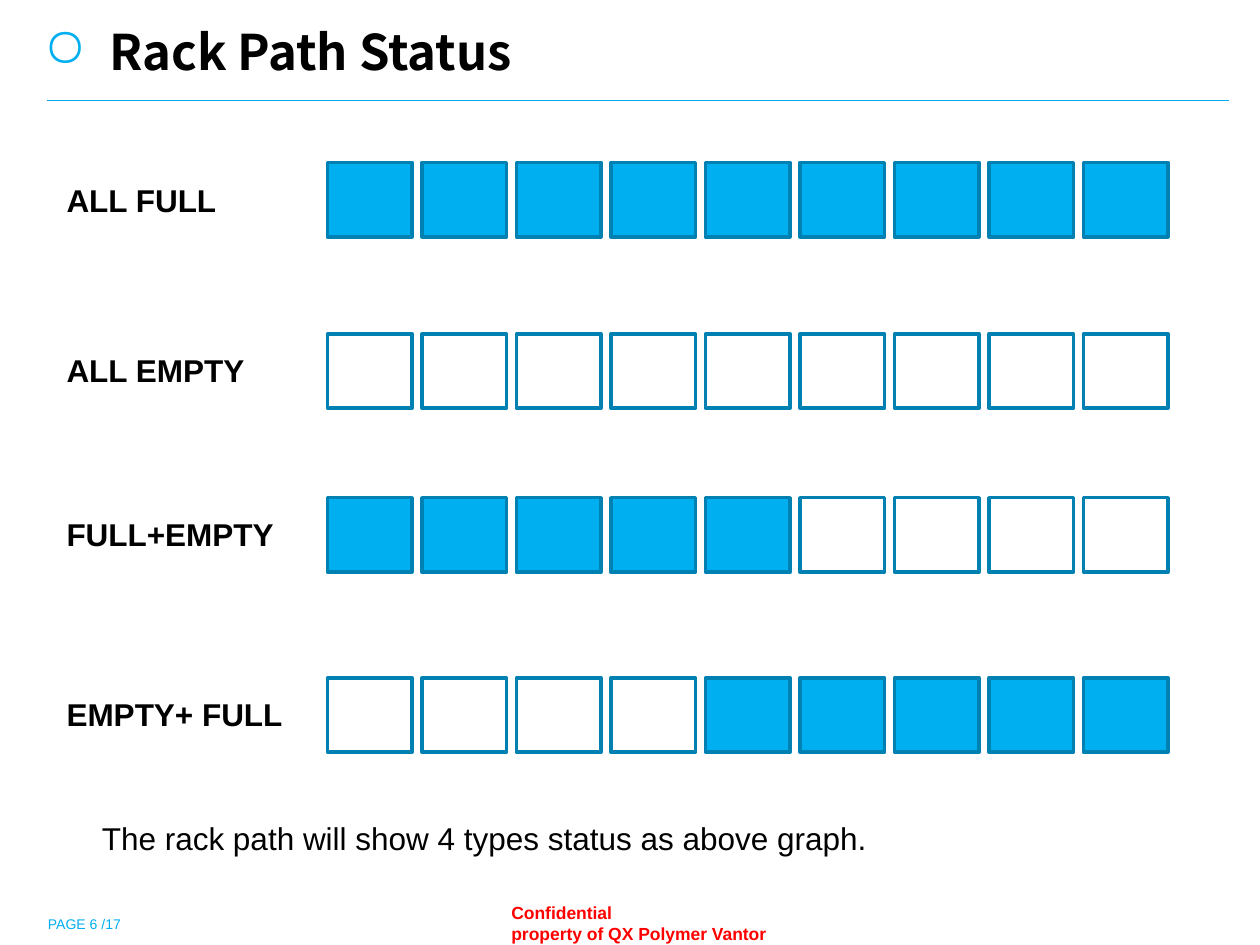
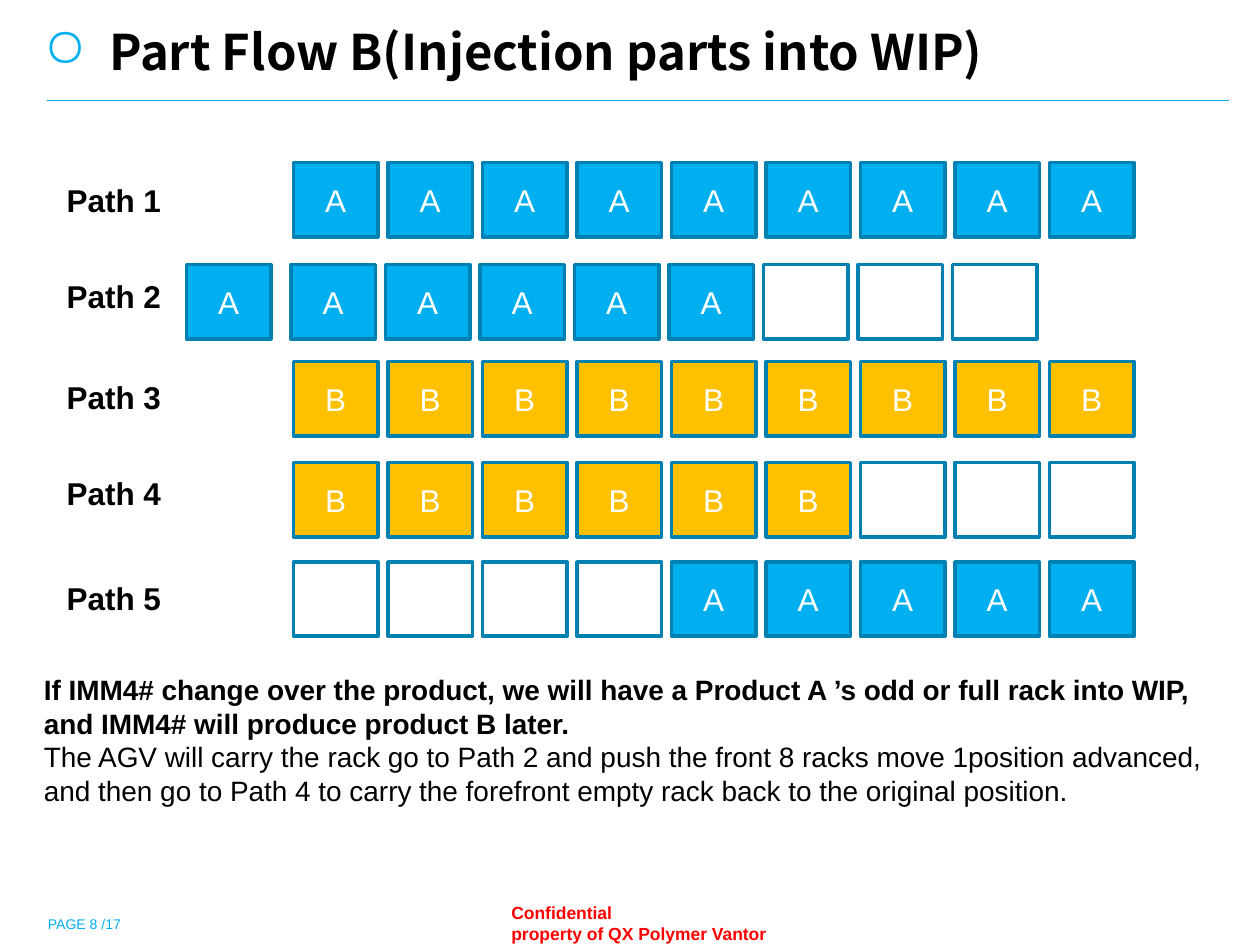
"""Build two slides on rack path status and part flow."""
import pptx
import pptx.dml.color
import pptx.enum.shapes
import pptx.enum.text
import pptx.util
import lxml.etree

COLORS = {"blue": "00AFF0", "rule": "00ABEB", "edge": "0081B2", "amber": "FFC000",
          "white": "FFFFFF", "black": "000000", "red": "FF0000"}
BODY_FONT, TITLE_FONT = "Arial", "Noto Sans CJK SC"
SHAPE = pptx.enum.shapes.MSO_SHAPE
ALIGN = pptx.enum.text.PP_ALIGN
ANCHOR = pptx.enum.text.MSO_ANCHOR

prs = pptx.Presentation()
prs.slide_width = pptx.util.Inches(10)
prs.slide_height = pptx.util.Inches(7.5)
COL, ROW = prs.slide_width / 100, prs.slide_height / 75
CELL_W, CELL_H, PITCH = 6.7, 5.9, 7.5
CELL_FILLS = {"F": "blue", "A": "blue", "B": "amber", "-": "white"}


def rgb(name):
    """Return the named colour."""
    return pptx.dml.color.RGBColor.from_string(COLORS[name])


def write(sp, text, size=18, color="black", bold=False, font=BODY_FONT,
          align=ALIGN.LEFT, anchor=ANCHOR.TOP):
    """Add one formatted paragraph to a shape and return it."""
    tf = sp.text_frame
    tf.word_wrap = True
    tf.vertical_anchor = anchor
    p = tf.add_paragraph() if tf.text else tf.paragraphs[0]
    p.text = text
    p.alignment = align
    for r in p.runs:
        r.font.size = pptx.util.Pt(size)
        r.font.name = font
        r.font.bold = bold
        r.font.color.rgb = rgb(color)
        ea = lxml.etree.SubElement(r.font._element, pptx.oxml.ns.qn("a:ea"))
        ea.set("typeface", font)
    return p


slides = [
    {"title": "Rack Path Status", "page": 6, "label_w": 21.6,
     "paths": [("ALL FULL", 13.9, 12.9, 26, "FFFFFFFFF"),
               ("ALL EMPTY", 27.4, 26.5, 26, "---------"),
               ("FULL+EMPTY", 40.4, 39.5, 26, "FFFFF----"),
               ("EMPTY+ FULL", 54.7, 53.8, 26, "----FFFFF")],
     "note_box": (7.1, 64.5, 80.8, 4), "note_size": 18,
     "notes": [("The rack path will show 4 types status as above graph.", False)]},
    {"title": "Part Flow B(Injection parts into WIP)", "page": 8, "label_w": 12.2,
     "paths": [("Path 1", 13.9, 12.9, 23.3, "AAAAAAAAA"),
               ("Path 2", 21.5, 21, 23.1, "AAAAA---"),
               ("", 21.5, 21, 14.8, "A"),
               ("Path 3", 29.5, 28.7, 23.3, "BBBBBBBBB"),
               ("Path 4", 37.1, 36.7, 23.3, "BBBBBB---"),
               ("Path 5", 45.5, 44.6, 23.3, "----AAAAA")],
     "note_box": (2.5, 52.9, 96.6, 11.8), "note_size": 16,
     "notes": [("If IMM4# change over the product, we will have a Product A ’s odd or full "
                "rack into WIP, and IMM4# will produce product B later.", True),
               ("The AGV will carry the rack go to Path 2 and push the front 8 racks move "
                "1position advanced, and then go to Path 4 to carry the forefront empty rack "
                "back to the original position.", False)]},
]

for content in slides:
    s = prs.slides.add_slide(prs.slide_layouts[6])
    s.background.fill.solid()
    s.background.fill.fore_color.rgb = rgb("white")

    sp = s.shapes.add_textbox(int(39.6 * COL), int(71.1 * ROW), int(22.9 * COL), int(4.3 * ROW))
    write(sp, "Confidential\vproperty of QX Polymer Vantor", size=10, color="red", bold=True)

    sp = s.shapes.add_textbox(int(3.8 * COL), int(71.5 * ROW), int(80.3 * COL), int(2.5 * ROW))
    tf = sp.text_frame
    tf.margin_left = tf.margin_right = tf.margin_top = tf.margin_bottom = 0
    write(sp, f"PAGE {content['page']} /17", size=8, color="blue", anchor=ANCHOR.BOTTOM)

    rule = s.shapes.add_connector(pptx.enum.shapes.MSO_CONNECTOR.STRAIGHT,
                                  int(3.7 * COL), int(8 * ROW), int(97.5 * COL), int(8 * ROW))
    rule.line.color.rgb = rgb("rule")
    rule.line.width = pptx.util.Pt(0.75)
    lxml.etree.SubElement(rule._element.spPr, pptx.oxml.ns.qn("a:effectLst"))

    sp = s.shapes.add_textbox(int(2.5 * COL), int(1.7 * ROW), int(96.6 * COL), int(4.7 * ROW))
    sp.text_frame.margin_top = 0
    p = write(sp, content["title"], size=28, bold=True, font=TITLE_FONT)
    pPr = p._p.get_or_add_pPr()
    pPr.set("marL", str(int(5.2 * COL)))
    pPr.set("indent", str(-int(5.2 * COL)))
    bullet = lxml.etree.SubElement(pPr, pptx.oxml.ns.qn("a:buClr"))
    lxml.etree.SubElement(bullet, pptx.oxml.ns.qn("a:srgbClr"), val=COLORS["blue"])
    lxml.etree.SubElement(pPr, pptx.oxml.ns.qn("a:buSzPct"), val="110000")
    lxml.etree.SubElement(pPr, pptx.oxml.ns.qn("a:buChar"), char="○")

    for label, label_top, top, left, cells in content["paths"]:
        if label:
            sp = s.shapes.add_textbox(int(4.3 * COL), int(label_top * ROW),
                                      int(content["label_w"] * COL), int(4 * ROW))
            write(sp, label, bold=True)
        for i, cell in enumerate(cells):
            sp = s.shapes.add_shape(SHAPE.RECTANGLE, int((left + i * PITCH) * COL),
                                    int(top * ROW), int(CELL_W * COL), int(CELL_H * ROW))
            sp.shadow.inherit = False
            sp.fill.solid()
            sp.fill.fore_color.rgb = rgb(CELL_FILLS[cell])
            sp.line.color.rgb = rgb("edge")
            sp.line.width = pptx.util.Pt(2)
            if cell in "AB":
                write(sp, cell, color="white", align=ALIGN.CENTER, anchor=ANCHOR.MIDDLE)

    x, y, w, h = content["note_box"]
    sp = s.shapes.add_textbox(int(x * COL), int(y * ROW), int(w * COL), int(h * ROW))
    for text, bold in content["notes"]:
        write(sp, text, size=content["note_size"], bold=bold)

prs.save("out.pptx")
